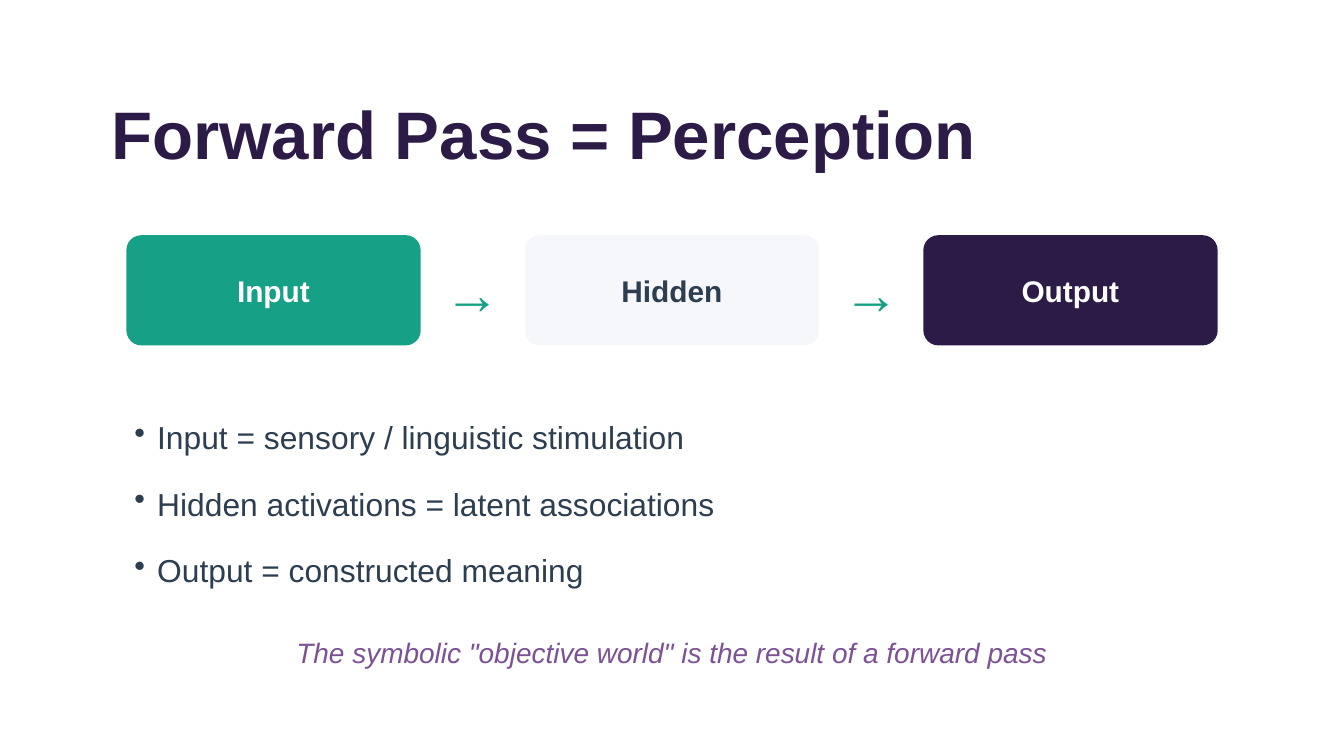
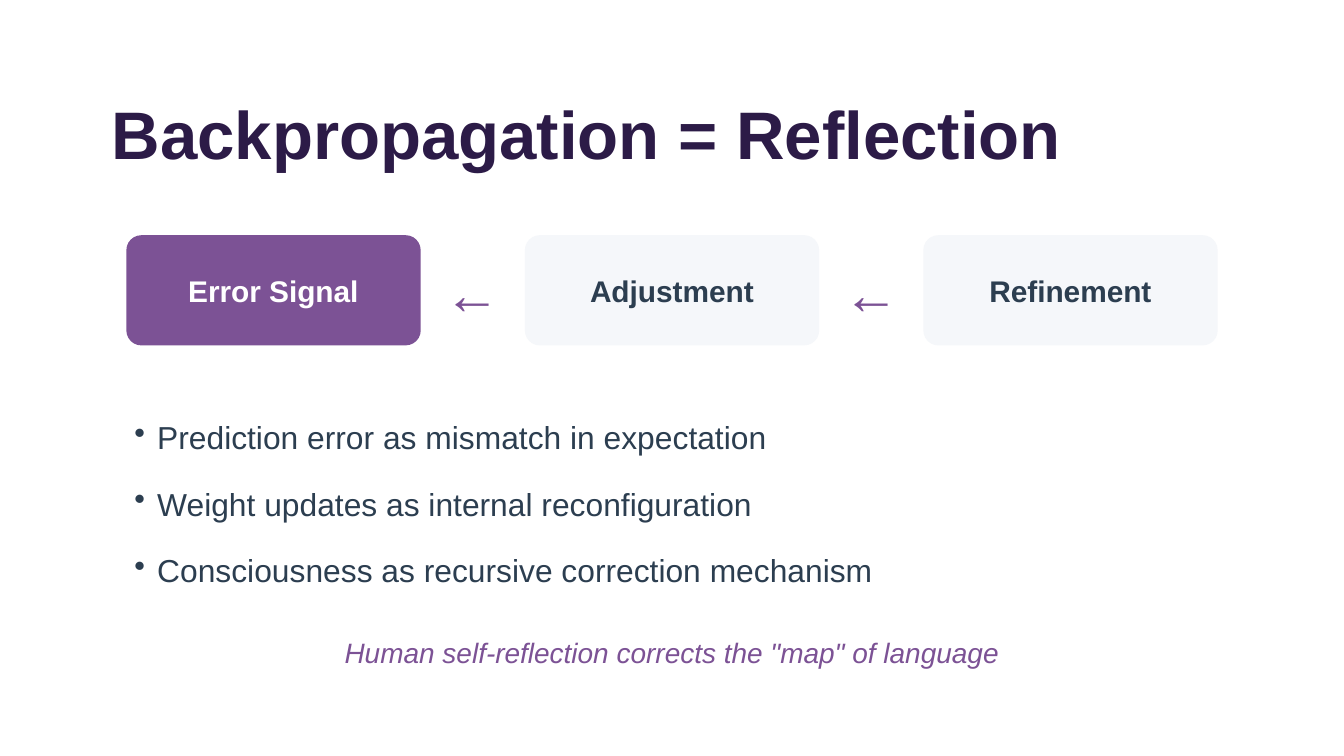
from lxml.etree import SubElement
from pptx import Presentation
from pptx.dml.color import RGBColor
from pptx.enum.shapes import MSO_SHAPE as Shape
from pptx.enum.text import PP_ALIGN as Align
from pptx.oxml.ns import qn
from pptx.util import Inches, Pt

COLORS = {
    "plum": "2C1B47",
    "teal": "16A085",
    "violet": "7C5295",
    "mist": "F5F7FA",
    "slate": "2C3E50",
    "white": "FFFFFF",
}
FONT = "Arial"
TITLE_BOX = (0.83, 0.69, 8.5, 0.57)
FLOW_BOX = (0.94, 1.75, 8.12, 0.82)
BULLETS_BOX = (0.83, 3.06, 8.33, 1.33)
CAPTION_BOX = (0.75, 4.73, 8.5, 0.24)
STAGE_WIDTH = 2.19
LABEL_WIDTH, LABEL_HEIGHT = 1.66, 0.26
ARROW_WIDTH, ARROW_HEIGHT = 0.42, 0.47
BULLET_INDENT = 0.17

SLIDES = [
    {
        "title": "Forward Pass = Perception",
        "arrow": ("→", "teal"),
        "stages": [
            ("Input", "teal", "white"),
            ("Hidden", "mist", "slate"),
            ("Output", "plum", "white"),
        ],
        "bullets": [
            "Input = sensory / linguistic stimulation",
            "Hidden activations = latent associations",
            "Output = constructed meaning",
        ],
        "caption": 'The symbolic "objective world" is the result of a forward pass',
    },
    {
        "title": "Backpropagation = Reflection",
        "arrow": ("←", "violet"),
        "stages": [
            ("Error Signal", "violet", "white"),
            ("Adjustment", "mist", "slate"),
            ("Refinement", "mist", "slate"),
        ],
        "bullets": [
            "Prediction error as mismatch in expectation",
            "Weight updates as internal reconfiguration",
            "Consciousness as recursive correction mechanism",
        ],
        "caption": 'Human self-reflection corrects the "map" of language',
    },
]


def rgb(name):
    """Return the named palette colour."""
    return RGBColor.from_string(COLORS[name])


def add_text(slide, box, lines, size, color, bold=None, italic=None, align=None):
    """Add a text box without margins and return its text frame."""
    frame = slide.shapes.add_textbox(*map(Inches, box)).text_frame
    frame.word_wrap = True
    frame.margin_left = frame.margin_top = frame.margin_right = frame.margin_bottom = 0
    for index, line in enumerate(lines):
        paragraph = frame.add_paragraph() if index else frame.paragraphs[0]
        paragraph.alignment = align
        run = paragraph.add_run()
        run.text = line
        font = run.font
        font.name, font.size, font.bold, font.italic = FONT, Pt(size), bold, italic
        font.color.rgb = rgb(color)
    return frame


def add_title(slide, box, title):
    """Add the slide title."""
    frame = add_text(slide, box, [title], 36, "plum", bold=True)
    frame.paragraphs[0].space_after = Pt(35)


def add_stage(slide, box, label, fill, color):
    """Add a rounded card with its label centred on it."""
    left, top, width, height = box
    card = slide.shapes.add_shape(Shape.ROUNDED_RECTANGLE, *map(Inches, box))
    card.adjustments[0] = 0.136
    card.shadow.inherit = False
    card.fill.solid()
    card.fill.fore_color.rgb = rgb(fill)
    card.line.fill.background()
    label_box = (
        left + (width - LABEL_WIDTH) / 2,
        top + (height - LABEL_HEIGHT) / 2,
        LABEL_WIDTH,
        LABEL_HEIGHT,
    )
    add_text(slide, label_box, [label], 16, color, bold=True, align=Align.CENTER)


def add_flow(slide, box, stages, arrow):
    """Spread the stages over the box and put an arrow in each gap."""
    left, top, width, height = box
    pitch = (width - STAGE_WIDTH) / (len(stages) - 1)
    arrow_offset = (pitch + STAGE_WIDTH - ARROW_WIDTH) / 2
    symbol, arrow_color = arrow
    for index, stage in enumerate(stages):
        stage_left = left + index * pitch
        if index:
            arrow_left = stage_left - pitch + arrow_offset
            arrow_top = top + (height - ARROW_HEIGHT) / 2
            arrow_box = (arrow_left, arrow_top, ARROW_WIDTH, ARROW_HEIGHT)
            add_text(slide, arrow_box, [symbol], 30, arrow_color)
        add_stage(slide, (stage_left, top, STAGE_WIDTH, height), *stage)


def add_bullets(slide, box, lines):
    """Add the bulleted list."""
    frame = add_text(slide, box, lines, 17, "slate")
    frame.margin_left = Inches(BULLET_INDENT)
    for paragraph in frame.paragraphs:
        paragraph.line_spacing = Pt(23.8)
        paragraph.space_after = Pt(12)
        properties = paragraph._p.get_or_add_pPr()
        properties.set("marL", str(Inches(BULLET_INDENT)))
        properties.set("indent", str(-Inches(BULLET_INDENT)))
        SubElement(properties, qn("a:buChar")).set("char", "•")


def add_caption(slide, box, caption):
    """Add the closing remark in italics."""
    frame = add_text(
        slide, box, [caption], 15, "violet", italic=True, align=Align.CENTER
    )
    frame.paragraphs[0].space_before = Pt(25)
    frame.paragraphs[0].space_after = Pt(15)


def add_flow_slide(presentation, content):
    """Add one slide with title, flow, bullets and caption."""
    slide = presentation.slides.add_slide(presentation.slide_layouts[6])
    slide.background.fill.solid()
    slide.background.fill.fore_color.rgb = rgb("white")
    add_title(slide, TITLE_BOX, content["title"])
    add_flow(slide, FLOW_BOX, content["stages"], content["arrow"])
    add_bullets(slide, BULLETS_BOX, content["bullets"])
    add_caption(slide, CAPTION_BOX, content["caption"])


def main():
    """Build and save the presentation."""
    presentation = Presentation()
    presentation.slide_width = Inches(10)
    presentation.slide_height = Inches(10 * 9 / 16)
    for content in SLIDES:
        add_flow_slide(presentation, content)
    presentation.save("out.pptx")


if __name__ == "__main__":
    main()
